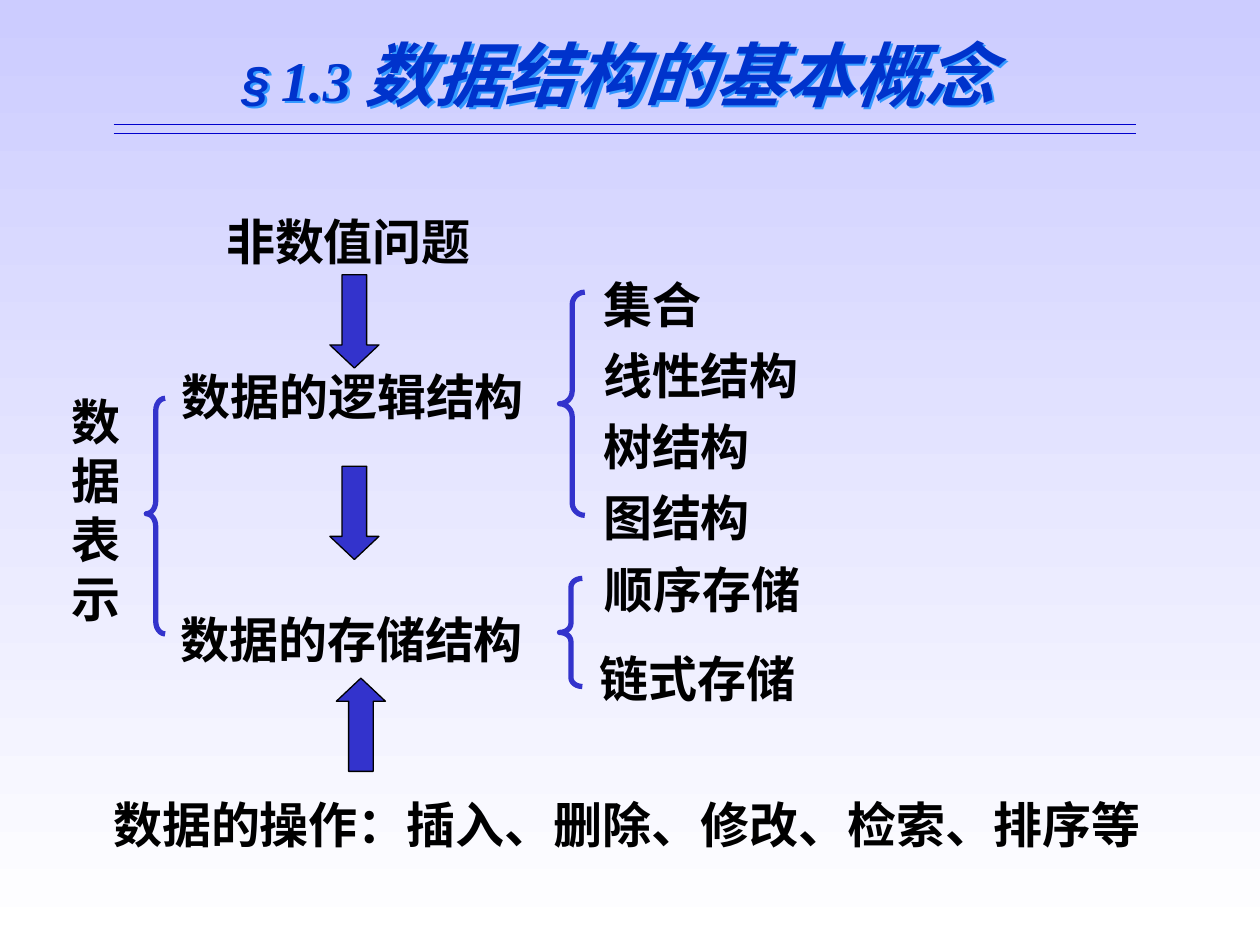
from typing import NamedTuple

from lxml.etree import SubElement
from pptx import Presentation
from pptx.dml.color import RGBColor
from pptx.enum.shapes import MSO_CONNECTOR, MSO_SHAPE
from pptx.enum.text import PP_ALIGN
from pptx.oxml.ns import qn
from pptx.util import Cm, Pt

BLACK = RGBColor(0x00, 0x00, 0x00)
WHITE = RGBColor(0xFF, 0xFF, 0xFF)
LAVENDER = RGBColor(0xCC, 0xCC, 0xFF)
INDIGO = RGBColor(0x33, 0x33, 0xCC)
TITLE_BLUE = RGBColor(0x00, 0x33, 0xCC)
RULE_BLUE = RGBColor(0x00, 0x00, 0xCC)
SHADOW_BLUE = RGBColor(0x33, 0x99, 0xFF)

LATIN_FONT = "Times New Roman"
CHINESE_FONT = "Noto Sans CJK SC"


class Label(NamedTuple):
    lines: list[str]
    left: float
    top: float
    width: float
    height: float = 1.45
    align: PP_ALIGN = PP_ALIGN.CENTER
    space_before: float = 17.5
    wrap: bool = False
    font: str = LATIN_FONT


class Brace(NamedTuple):
    left: float
    top: float
    width: float
    height: float
    curve: float
    tip: float


class Arrow(NamedTuple):
    left: float
    top: float
    rotation: int = 0


LABELS = [
    Label(["数据的操作：插入、删除、修改、检索、排序等"], 1.78, 15.9, 21.72),
    Label(["数据的逻辑结构"], 2.92, 7.26, 8.38),
    Label(["数据的存储结构"], 2.9, 12.17, 8.38),
    Label([" 顺序存储", "链式存储"], 11.58, 11.15, 4.95, 3.25),
    Label(["集合", "线性结构", "树结构", "图结构"], 11.91, 5.41, 6.38, 5.74,
          align=PP_ALIGN.LEFT, space_before=7, wrap=True),
    Label(["非数值问题"], 3.81, 4.14, 6.43),
    Label(["数据表示"], 1.19, 7.77, 1.63, 5.0,
          align=PP_ALIGN.LEFT, wrap=True, font=CHINESE_FONT),
]
BRACES = [
    Brace(11.28, 11.66, 0.46, 2.18, 0.39, 0.5),
    Brace(11.28, 5.89, 0.51, 4.5, 0.5, 0.5),
    Brace(2.95, 8.03, 0.38, 4.75, 0.67, 0.49),
]
ARROWS = [Arrow(6.65, 5.54), Arrow(6.65, 9.4), Arrow(6.78, 13.67, 180)]
RULE_TOPS = [2.51, 2.69]


def add_run(paragraph, text: str, *, size: float = 28, font: str = LATIN_FONT,
            color: RGBColor = BLACK, bold: bool = True, italic: bool = False) -> None:
    run = paragraph.add_run()
    run.text = text
    run.font.size = Pt(size)
    run.font.name = font
    run.font.bold = bold
    run.font.italic = italic
    run.font.color.rgb = color
    SubElement(run.font._element, qn("a:ea"), typeface=CHINESE_FONT)


def add_label(slide, label: Label):
    shape = slide.shapes.add_textbox(
        Cm(label.left), Cm(label.top), Cm(label.width), Cm(label.height))
    frame = shape.text_frame
    frame.word_wrap = label.wrap
    for index, line in enumerate(label.lines):
        paragraph = frame.add_paragraph() if index else frame.paragraphs[0]
        paragraph.alignment = label.align
        paragraph.space_before = Pt(label.space_before)
        add_run(paragraph, line, font=label.font)


def add_brace(slide, brace: Brace) -> None:
    shape = slide.shapes.add_shape(
        MSO_SHAPE.LEFT_BRACE,
        Cm(brace.left), Cm(brace.top), Cm(brace.width), Cm(brace.height))
    shape.adjustments[0] = brace.curve
    shape.adjustments[1] = brace.tip
    shape.shadow.inherit = False
    shape.fill.background()
    shape.line.color.rgb = INDIGO
    shape.line.width = Pt(3)


def add_arrow(slide, arrow: Arrow) -> None:
    shape = slide.shapes.add_shape(
        MSO_SHAPE.DOWN_ARROW, Cm(arrow.left), Cm(arrow.top), Cm(0.99), Cm(1.88))
    shape.adjustments[0] = 0.5
    shape.adjustments[1] = 0.47
    shape.rotation = arrow.rotation
    shape.shadow.inherit = False
    shape.fill.solid()
    shape.fill.fore_color.rgb = INDIGO
    shape.line.color.rgb = BLACK
    shape.line.width = Pt(0.75)


def add_rule(slide, top: float) -> None:
    line = slide.shapes.add_connector(
        MSO_CONNECTOR.STRAIGHT, Cm(2.29), Cm(top), Cm(22.91), Cm(top))
    line.line.color.rgb = RULE_BLUE
    line.line.width = Pt(0.75)
    SubElement(line._element.spPr, qn("a:effectLst"))


def add_title(slide) -> None:
    shape = slide.shapes.add_textbox(Cm(3.86), Cm(0.51), Cm(17.2), Cm(1.96))
    shape.text_frame.word_wrap = True
    paragraph = shape.text_frame.paragraphs[0]
    paragraph.alignment = PP_ALIGN.CENTER
    add_run(paragraph, "§", font="Arial", color=TITLE_BLUE, italic=True)
    add_run(paragraph, " ", size=24, font="Arial", color=INDIGO, bold=False)
    add_run(paragraph, "1.3 ", size=32, color=TITLE_BLUE, italic=True)
    add_run(paragraph, "数据结构的基本概念", size=40, color=TITLE_BLUE, italic=True)

    # An unfilled box casts its shadow from the letters
    effects = SubElement(shape._element.spPr, qn("a:effectLst"))
    shadow = SubElement(effects, qn("a:outerShdw"), dist=str(Pt(2)), dir="2700000")
    SubElement(shadow, qn("a:srgbClr"), val=str(SHADOW_BLUE))


def main() -> None:
    presentation = Presentation()
    presentation.slide_width = Cm(25.4)
    presentation.slide_height = Cm(19.05)
    slide = presentation.slides.add_slide(presentation.slide_layouts[6])

    # Background, fading downwards
    background = slide.background.fill
    background.gradient()
    background.gradient_angle = 270
    for stop, color in zip(background.gradient_stops, (LAVENDER, WHITE)):
        stop.color.rgb = color

    # Diagram
    for label in LABELS:
        add_label(slide, label)
    for brace in BRACES:
        add_brace(slide, brace)
    for arrow in ARROWS:
        add_arrow(slide, arrow)

    # Heading with its double rule
    add_title(slide)
    for top in RULE_TOPS:
        add_rule(slide, top)

    presentation.save("out.pptx")


if __name__ == "__main__":
    main()
